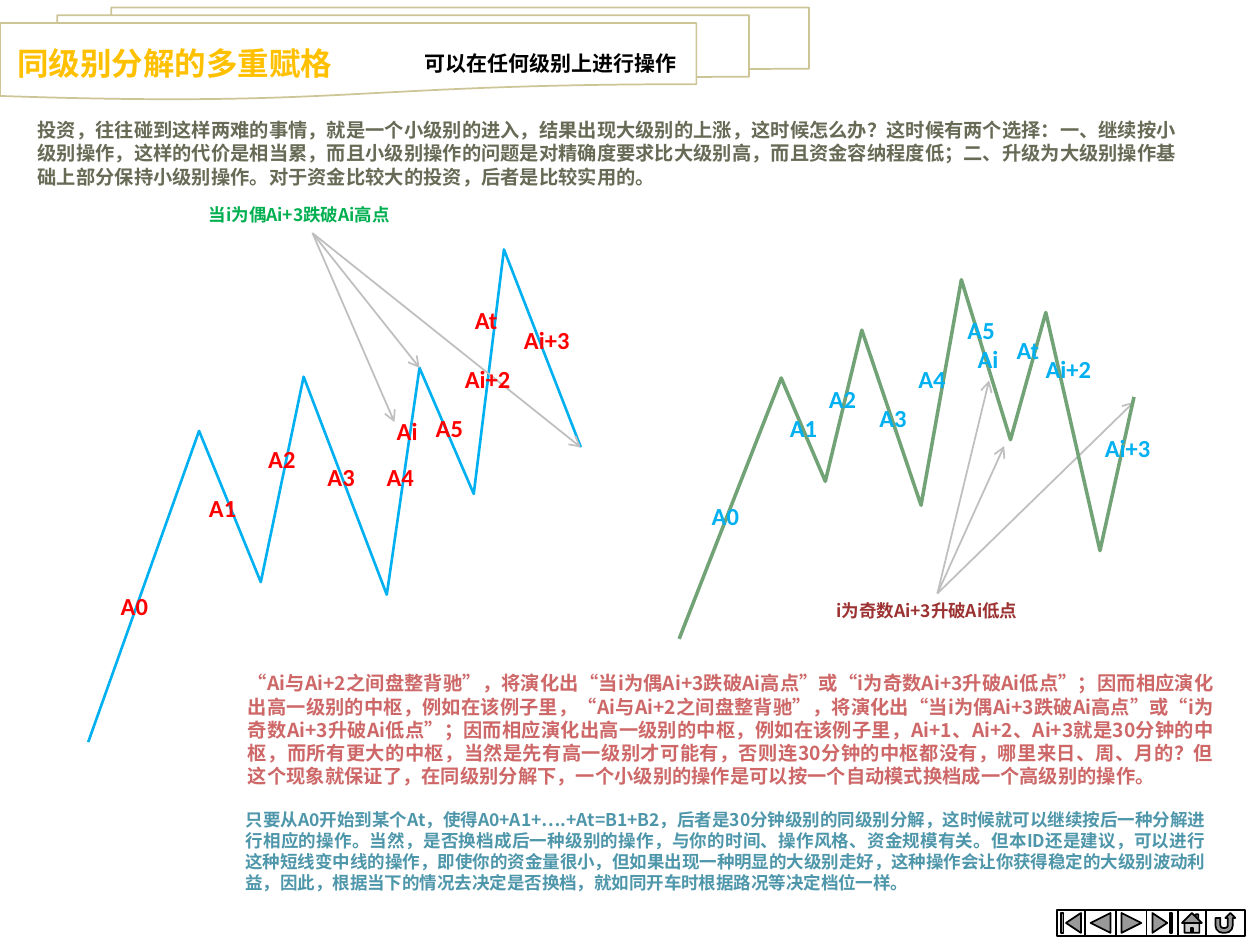
from dataclasses import dataclass

import pptx
import pptx.dml.color
import pptx.enum.shapes
import pptx.enum.text
import pptx.oxml.ns
import pptx.util
from lxml import etree

Inches = pptx.util.Inches
Pt = pptx.util.Pt
SHAPE = pptx.enum.shapes.MSO_SHAPE
ALIGN = pptx.enum.text.PP_ALIGN
ANCHOR = pptx.enum.text.MSO_ANCHOR
qn = pptx.oxml.ns.qn

CJK_FONT = "Noto Sans CJK SC"
LABEL_FONT = "Calibri"
COLORS = {
    "white": "FFFFFF", "black": "000000", "banner": "CEC597", "heading": "FFC000",
    "intro": "676A55", "arrow": "BFBFBF", "blue": "00B0F0", "sage": "72A376",
    "red": "FF0000", "green": "00B050", "maroon": "9D3232", "rose": "CE6868",
    "teal": "4E96AA",
}


@dataclass
class Label:
    text: str
    left: float
    top: float


@dataclass
class Trend:
    points: list
    line_color: str
    line_width: float
    label_color: str
    labels: list


@dataclass
class ArrowFan:
    start: tuple
    ends: list


def rgb(name: str) -> pptx.dml.color.RGBColor:
    return pptx.dml.color.RGBColor.from_string(COLORS[name])


def add_text(slide, text: str, left: float, top: float, width: float, height: float, *,
             size: float, color: str, font: str = CJK_FONT, align=ALIGN.JUSTIFY,
             anchor=ANCHOR.TOP, wrap: bool = True) -> None:
    box = slide.shapes.add_textbox(Inches(left), Inches(top), Inches(width), Inches(height))
    frame = box.text_frame
    frame.word_wrap = wrap
    frame.vertical_anchor = anchor
    paragraph = frame.paragraphs[0]
    paragraph.alignment = align
    paragraph.line_spacing = Pt(round(size * 1.21, 1))
    run = paragraph.add_run()
    run.text = text
    run.font.size = Pt(size)
    run.font.bold = True
    run.font.name = font
    run.font.color.rgb = rgb(color)
    east_asian = etree.SubElement(run.font._element, qn("a:ea"))
    east_asian.set("typeface", CJK_FONT)


def add_preset(slide, kind, left: float, top: float, width: float, height: float,
               line_color: str) -> None:
    shape = slide.shapes.add_shape(kind, Inches(left), Inches(top), Inches(width), Inches(height))
    shape.shadow.inherit = False
    shape.fill.solid()
    shape.fill.fore_color.rgb = rgb("white")
    shape.line.color.rgb = rgb(line_color)
    shape.line.width = Pt(1)


def add_fan(slide, fan: ArrowFan) -> None:
    for end in fan.ends:
        arrow = slide.shapes.add_connector(
            pptx.enum.shapes.MSO_CONNECTOR.STRAIGHT, *map(Inches, fan.start + end))
        arrow.line.color.rgb = rgb("arrow")
        arrow.line.width = Pt(1)
        line = arrow.line._get_or_add_ln()
        etree.SubElement(line, qn("a:tailEnd")).set("type", "arrow")
        etree.SubElement(arrow._element.spPr, qn("a:effectLst"))


def add_trend_line(slide, trend: Trend) -> None:
    points = [(Inches(x), Inches(y)) for x, y in trend.points]
    builder = slide.shapes.build_freeform(*points[0], scale=1.0)
    builder.add_line_segments(points[1:], close=False)
    zigzag = builder.convert_to_shape()
    zigzag.shadow.inherit = False
    zigzag.fill.background()
    zigzag.line.color.rgb = rgb(trend.line_color)
    zigzag.line.width = Pt(trend.line_width)


def add_trend_labels(slide, trend: Trend) -> None:
    for label in trend.labels:
        add_text(slide, label.text, label.left, label.top, 0.65, 0.4, size=14,
                 color=trend.label_color, font=LABEL_FONT)


EVEN_TREND = Trend(
    [(0.7, 5.89), (1.58, 3.42), (2.07, 4.62), (2.41, 2.99), (3.07, 4.72),
     (3.33, 2.92), (3.76, 3.92), (4, 1.98), (4.61, 3.55)],
    "blue", 1.5, "red",
    [Label("A0", 0.86, 4.64), Label("A1", 1.56, 3.86), Label("A2", 2.03, 3.47),
     Label("A3", 2.5, 3.62), Label("Ai", 3.05, 3.25), Label("Ai+2", 3.59, 2.84),
     Label("Ai+3", 4.06, 2.53), Label("A4", 2.97, 3.62), Label("A5", 3.36, 3.23),
     Label("At", 3.67, 2.37)])
ODD_TREND = Trend(
    [(5.39, 5.07), (6.2, 3), (6.55, 3.82), (6.84, 2.62), (7.31, 4.01),
     (7.63, 2.22), (8.02, 3.49), (8.3, 2.48), (8.73, 4.37), (9, 3.15)],
    "sage", 2, "blue",
    [Label("A0", 5.55, 3.93), Label("A1", 6.17, 3.23), Label("A2", 6.48, 3),
     Label("A3", 6.88, 3.15), Label("Ai", 7.66, 2.68), Label("Ai+2", 8.2, 2.76),
     Label("Ai+3", 8.67, 3.39), Label("A4", 7.19, 2.84), Label("At", 7.97, 2.61),
     Label("A5", 7.58, 2.45)])
EVEN_FAN = ArrowFan((2.48, 1.85), [(3.13, 3.35), (3.33, 2.92), (4.61, 3.55)])
ODD_FAN = ArrowFan((7.44, 4.71), [(7.85, 3.02), (7.97, 3.54), (9, 3.19)])

NAVIGATION = [
    (SHAPE.ACTION_BUTTON_BEGINNING, 0.22), (SHAPE.ACTION_BUTTON_BACK_OR_PREVIOUS, 0.25),
    (SHAPE.ACTION_BUTTON_FORWARD_OR_NEXT, 0.24), (SHAPE.ACTION_BUTTON_END, 0.25),
    (SHAPE.ACTION_BUTTON_HOME, 0.22), (SHAPE.ACTION_BUTTON_RETURN, 0.31),
]

INTRO = (
    "投资，往往碰到这样两难的事情，就是一个小级别的进入，结果出现大级别的上涨，这时候怎么办？"
    "这时候有两个选择：一、继续按小级别操作，这样的代价是相当累，而且小级别操作的问题是对精确度要求比大级别高，"
    "而且资金容纳程度低；二、升级为大级别操作基础上部分保持小级别操作。"
    "对于资金比较大的投资，后者是比较实用的。")
# This passage is stated twice in a row in the text
DIVERGENCE = (
    "“Ai与Ai+2之间盘整背驰”，将演化出“当i为偶Ai+3跌破Ai高点”或“i为奇数Ai+3升破Ai低点”；"
    "因而相应演化出高一级别的中枢，例如在该例子里，")
PIVOT = DIVERGENCE * 2 + (
    "Ai+1、Ai+2、Ai+3就是30分钟的中枢，而所有更大的中枢，当然是先有高一级别才可能有，"
    "否则连30分钟的中枢都没有，哪里来日、周、月的？但这个现象就保证了，在同级别分解下，"
    "一个小级别的操作是可以按一个自动模式换档成一个高级别的操作。")
SHIFT = (
    "只要从A0开始到某个At，使得A0+A1+….+At=B1+B2，后者是30分钟级别的同级别分解，"
    "这时候就可以继续按后一种分解进行相应的操作。当然，是否换档成后一种级别的操作，"
    "与你的时间、操作风格、资金规模有关。但本ID还是建议，可以进行这种短线变中线的操作，"
    "即使你的资金量很小，但如果出现一种明显的大级别走好，这种操作会让你获得稳定的大级别波动利益，"
    "因此，根据当下的情况去决定是否换档，就如同开车时根据路况等决定档位一样。")


def main() -> None:
    deck = pptx.Presentation()
    deck.slide_width, deck.slide_height = Inches(10), Inches(7.5)
    slide = deck.slides.add_slide(deck.slide_layouts[6])

    # Heading banner and introduction
    add_fan(slide, ODD_FAN)
    add_preset(slide, SHAPE.FLOWCHART_MULTIDOCUMENT, 0, 0.06, 6.42, 0.73, "banner")
    add_text(slide, "同级别分解的多重赋格", 0.04, 0.28, 3.09, 0.42, size=18,
             color="heading", align=ALIGN.LEFT, anchor=ANCHOR.BOTTOM)
    add_text(slide, "可以在任何级别上进行操作", 3.27, 0.35, 2.36, 0.29, size=12, color="black")
    add_text(slide, INTRO, 0.2, 0.89, 9.38, 0.74, size=11, color="intro", align=ALIGN.LEFT)

    # Trend diagrams
    for trend in (EVEN_TREND, ODD_TREND):
        add_trend_line(slide, trend)
    add_fan(slide, EVEN_FAN)
    for trend in (EVEN_TREND, ODD_TREND):
        add_trend_labels(slide, trend)
    add_text(slide, "当i为偶Ai+3跌破Ai高点", 1.56, 1.57, 1.84, 0.27, size=10,
             color="green", align=ALIGN.LEFT, wrap=False)
    add_text(slide, "i为奇数Ai+3升破Ai低点", 6.54, 4.71, 1.81, 0.27, size=10,
             color="maroon", align=ALIGN.LEFT, wrap=False)

    # Conclusions
    add_text(slide, PIVOT, 1.87, 5.28, 7.86, 1.09, size=11, color="rose")
    add_text(slide, SHIFT, 1.85, 6.37, 7.81, 0.87, size=10, color="teal")

    # Navigation buttons, side by side
    left = 8.39
    for kind, width in NAVIGATION:
        add_preset(slide, kind, left, 7.22, width, 0.21, "black")
        left += width

    deck.save("out.pptx")


if __name__ == "__main__":
    main()
